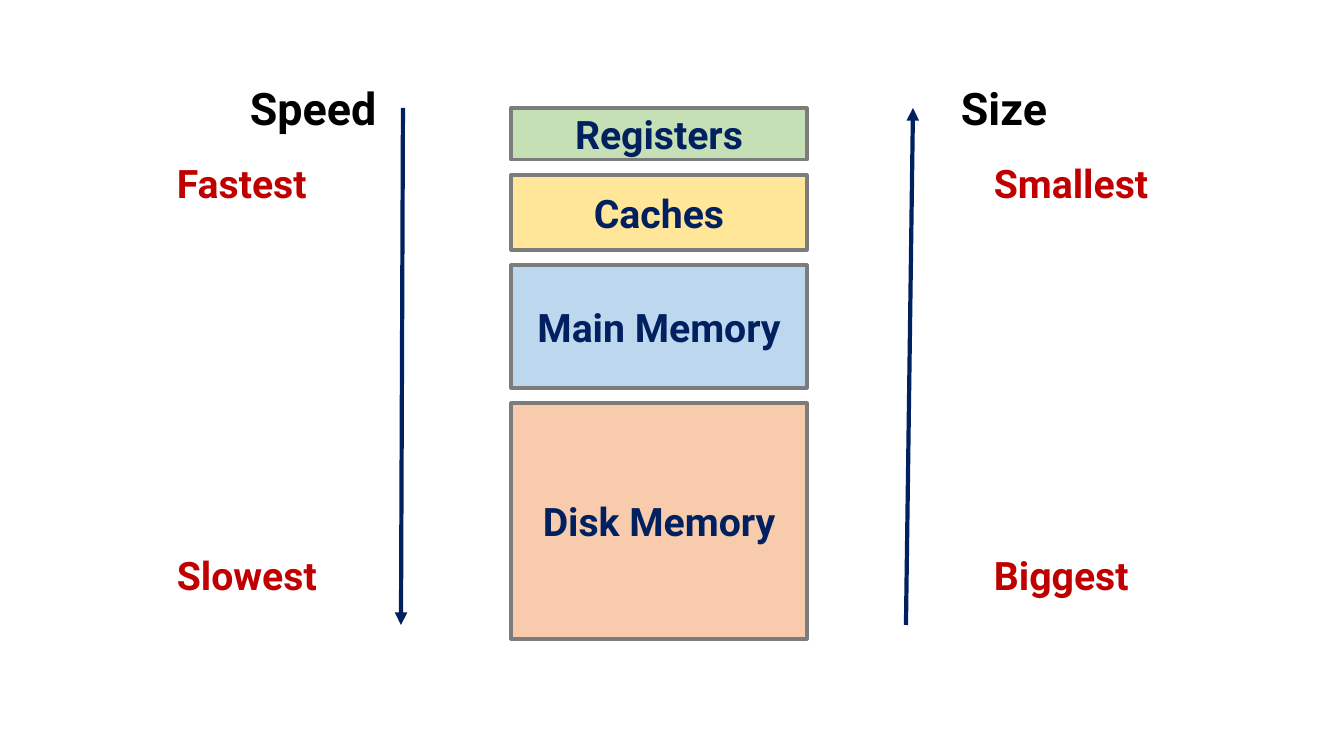
from lxml.etree import SubElement
from pptx import Presentation
from pptx.dml.color import RGBColor
from pptx.enum.shapes import MSO_CONNECTOR, MSO_SHAPE
from pptx.enum.text import MSO_ANCHOR, MSO_AUTO_SIZE, PP_ALIGN
from pptx.oxml.ns import qn
from pptx.util import Pt

NAVY = RGBColor(0x00, 0x20, 0x60)
RED = RGBColor(0xC0, 0x00, 0x00)
BLACK = RGBColor(0x00, 0x00, 0x00)
GRAY = RGBColor(0x7C, 0x7C, 0x7C)
GREEN = RGBColor(0xC5, 0xE0, 0xB4)
YELLOW = RGBColor(0xFF, 0xE6, 0x99)
BLUE = RGBColor(0xBD, 0xD7, 0xEE)
PEACH = RGBColor(0xF8, 0xCB, 0xAD)

# Content: memory levels (name, height, fill), arrows, and side scales
LEVELS = [
    ("Registers", 52, GREEN),
    ("Caches", 75, YELLOW),
    ("Main Memory", 123, BLUE),
    ("Disk Memory", 236, PEACH),
]
TOP, LEFT, WIDTH, GAP = 108, 511, 296, 15
END = 625
ARROWS = [(403, TOP, 401, END), (906, END, 913, TOP)]
# title, title left, end labels, label left
SCALES = [
    ("Speed", 240, ("Fastest", "Slowest"), 167),
    ("Size", 951, ("Smallest", "Biggest"), 984),
]
HEAD = {"size": Pt(32), "color": BLACK}
LABEL = {"size": Pt(28), "color": RED}
LEVEL = {"size": Pt(28), "color": NAVY}


def px(num):
    return round(num * 914400 / 100.8)


def write(frame, text, size, color):
    para = frame.paragraphs[0]
    run = para.add_run()
    run.text = text
    for key, val in {"name": "Roboto", "bold": True, "size": size}.items():
        setattr(run.font, key, val)
    run.font.color.rgb = color
    return para


def add_label(text, left, top, width, height, style):
    box = slide.shapes.add_textbox(*map(px, (left, top, width, height)))
    frame = box.text_frame
    frame.word_wrap = True
    frame.auto_size = MSO_AUTO_SIZE.SHAPE_TO_FIT_TEXT
    write(frame, text, **style)


deck = Presentation()
deck.slide_width, deck.slide_height = px(1344), px(756)
slide = deck.slides.add_slide(deck.slide_layouts[6])

# Stack of memory levels
top = TOP
for name, height, fill in LEVELS:
    box = slide.shapes.add_shape(
        MSO_SHAPE.RECTANGLE, *map(px, (LEFT, top, WIDTH, height)))
    box.shadow.inherit = False
    box.fill.solid()
    box.fill.fore_color.rgb = fill
    box.line.color.rgb = GRAY
    box.line.width = Pt(2.25)
    box.text_frame.word_wrap = True
    box.text_frame.vertical_anchor = MSO_ANCHOR.MIDDLE
    write(box.text_frame, name, **LEVEL).alignment = PP_ALIGN.CENTER
    top += height + GAP

# Arrows beside the stack
for ends in ARROWS:
    arrow = slide.shapes.add_connector(MSO_CONNECTOR.STRAIGHT, *map(px, ends))
    arrow.line.color.rgb = NAVY
    arrow.line.width = Pt(3)
    SubElement(arrow.line._get_or_add_ln(), qn("a:tailEnd"), type="triangle")
    SubElement(arrow._element.spPr, qn("a:effectLst"))

# Scale titles and end labels
for title, left, labels, side in SCALES:
    add_label(title, left, 76, 161, 65, HEAD)
    for label, row in zip(labels, (154, 546)):
        add_label(label, side, row, 208, 57, LABEL)

deck.save("out.pptx")
